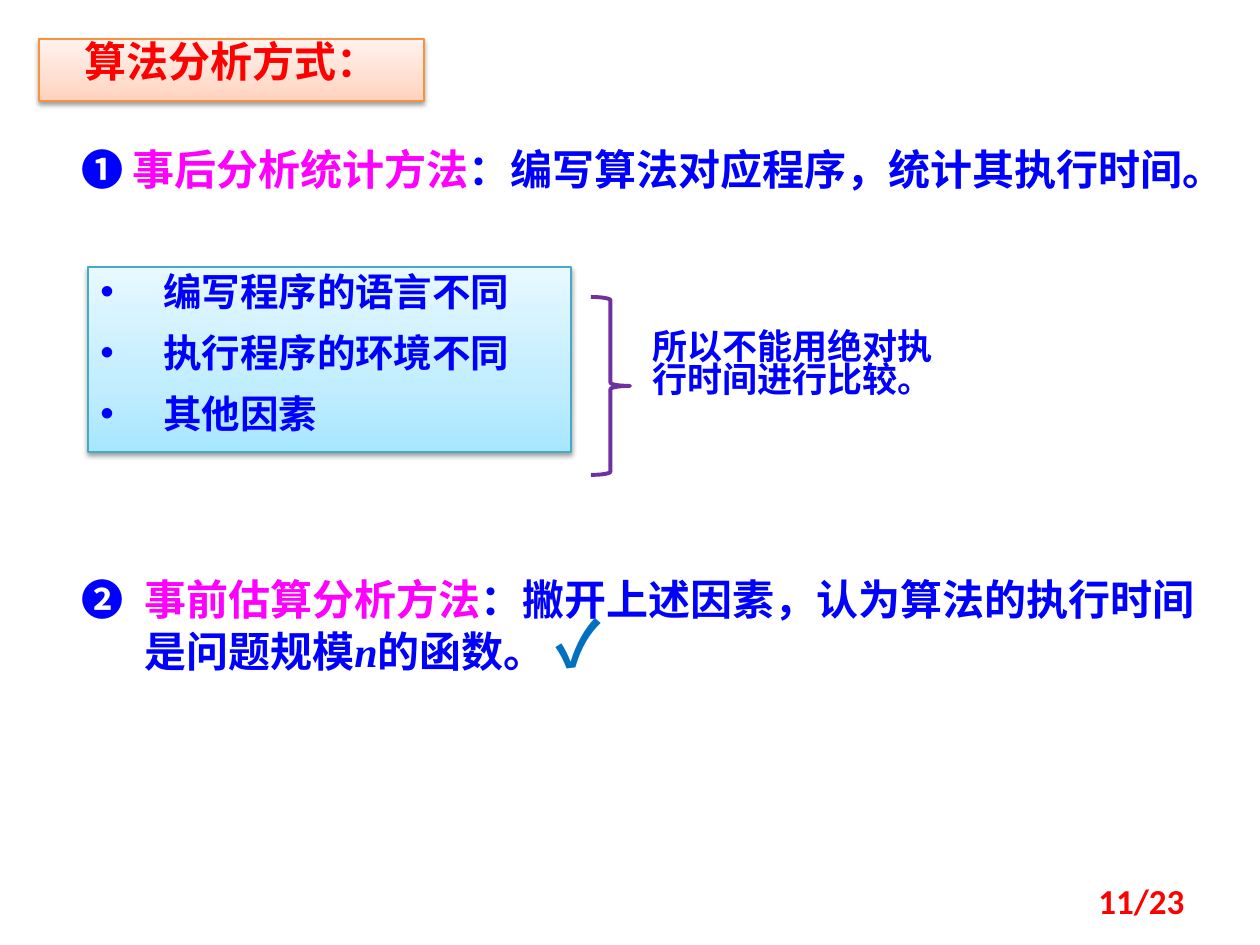
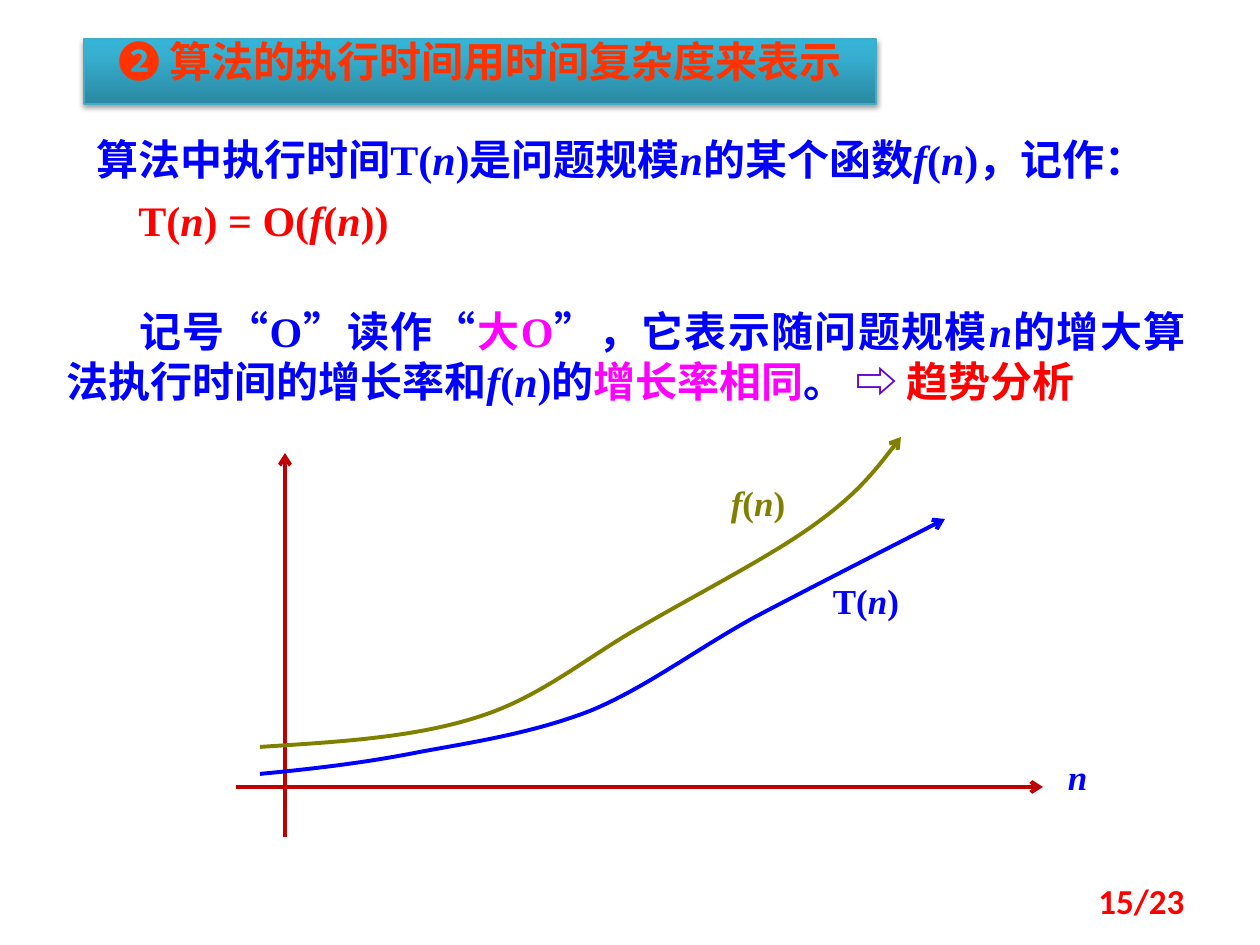
from dataclasses import dataclass

from lxml import etree
from pptx import Presentation
from pptx.dml.color import RGBColor
from pptx.enum.lang import MSO_LANGUAGE_ID
from pptx.enum.shapes import MSO_CONNECTOR, MSO_SHAPE
from pptx.enum.text import MSO_ANCHOR, MSO_AUTO_SIZE, PP_ALIGN
from pptx.oxml.ns import qn
from pptx.util import Emu, Pt

LEFT, CENTER, RIGHT, JUSTIFY = PP_ALIGN.LEFT, PP_ALIGN.CENTER, PP_ALIGN.RIGHT, PP_ALIGN.JUSTIFY
TOP, MIDDLE = MSO_ANCHOR.TOP, MSO_ANCHOR.MIDDLE
CHINESE = MSO_LANGUAGE_ID.SIMPLIFIED_CHINESE
EMU_PER_PX = 914400 / 126
TITLE_ONLY = 5


@dataclass(frozen=True)
class Theme:
    blue: str = "0000FF"
    red: str = "FF0000"
    magenta: str = "FF00FF"
    orange: str = "FF3300"
    check: str = "0070C0"
    arrow: str = "6600CC"
    brace: str = "7030A0"
    axis: str = "C00000"
    olive: str = "808000"
    border: str = "46AAC5"
    peach_border: str = "F69240"
    peach: tuple = ((0, "FFD2BD"), (35, "FFDED0"), (100, "FFF2ED"))
    sky: tuple = ((0, "A7E6FF"), (35, "C1EDFF"), (100, "E7F8FF"))
    teal: tuple = ((0, "2A88A2"), (80, "37B1D2"), (100, "34B4D6"))
    body: str = "Times New Roman"
    plain: str = "Calibri"
    chinese: str = "Noto Sans CJK SC"
    body_size: int = 24
    list_size: int = 22
    label_size: int = 20
    check_size: int = 36
    line: float = 2.25


T = Theme()
PAGE_BOX = (903, 876, 294, 50)

METHODS = {
    "title": "算法分析方式：", "title_box": (39, 39, 385, 62), "title_font": T.chinese,
    "title_color": T.red, "title_fill": T.peach, "title_border": T.peach_border,
    "page": "11/23",
}
AFTERWARDS = [("❶ ", T.blue), ("事后分析统计方法", T.magenta),
              ("：编写算法对应程序，统计其执行时间。", T.blue)]
FACTORS = ["编写程序的语言不同", "执行程序的环境不同", "其他因素"]
CONCLUSION = [("所以不能用绝对执行时间进行比较。", T.blue)]
BEFOREHAND = [("❷\t", T.blue), ("事前估算分析方法", T.magenta),
              ("：撇开上述因素，认为算法的执行时间是问题规模*n*的函数。 ", T.blue),
              ("✓", T.check, T.check_size)]

COMPLEXITY = {
    "title": "❷ 算法的执行时间用时间复杂度来表示", "title_box": (84, 39, 792, 65),
    "title_font": T.plain, "title_color": T.orange, "title_fill": T.teal,
    "title_border": T.border, "page": "15/23",
}
DEFINITION = [("算法中执行时间T(*n*)是问题规模*n*的某个函数*f*(*n*)，记作：", T.blue)]
FORMULA = [("T(*n*) = O(*f*(*n*))", T.red)]
NOTATION = [("记号“O”读作“", T.blue), ("大O", T.magenta),
            ("”，它表示随问题规模*n*的增大算法执行时间的增长率和*f*(*n*)的", T.blue),
            ("增长率相同", T.magenta), ("。 ", T.blue), ("⇨ ", T.arrow), ("趋势分析", T.red)]
AXES = [((236, 787), (1043, 787)), ((285, 837), (285, 453))]
CURVES = [
    (T.olive, [(260, 747), (336, 742), (413, 738), (478, 717), (542, 697), (588, 656),
               (644, 625), (701, 592), (771, 556), (814, 525), (857, 494), (879, 466),
               (901, 437)]),
    (T.blue, [(260, 774), (312, 769), (365, 763), (420, 752), (475, 742), (533, 733),
              (590, 711), (646, 688), (698, 648), (757, 616), (816, 585), (881, 552),
              (945, 519)]),
]
LABELS = [("T(*n*)", T.blue, (817, 581, 98, 59)), ("*n*", T.blue, (1043, 757, 69, 59)),
          ("*f*(*n*)", T.olive, (709, 483, 98, 55))]


def px(value):
    return Emu(round(value * EMU_PER_PX))


def rgb(color):
    return RGBColor.from_string(color)


def child(parent, tag, **attributes):
    return etree.SubElement(parent, qn(tag), {k: str(v) for k, v in attributes.items()})


def write(frame, paragraphs, font=T.body, size=T.body_size, align=LEFT, spacing=0.8,
          bold=True, anchor=TOP, indents=(), hanging=0, bullet=None):
    frame.word_wrap = True
    frame.auto_size = MSO_AUTO_SIZE.NONE
    frame.vertical_anchor = anchor
    for index, runs in enumerate(paragraphs):
        paragraph = frame.add_paragraph() if index else frame.paragraphs[0]
        paragraph.alignment = align
        paragraph.line_spacing = spacing
        paragraph.space_before = Pt(size / 2 if index else 0)
        properties = paragraph._p.get_or_add_pPr()
        if hanging:
            properties.set("marL", str(px(hanging)))
            properties.set("indent", str(px(-hanging)))
        elif indents:
            properties.set("indent", str(px(indents[index])))
        if bullet:
            child(properties, "a:buFont", typeface="Arial")
            child(properties, "a:buChar", char=bullet)
        for text, color, *own_size in runs:
            for part, piece in enumerate(text.split("*")):
                if piece:
                    run = paragraph.add_run()
                    run.text = piece
                    run.font.name = font
                    run.font.size = Pt(own_size[0] if own_size else size)
                    run.font.bold = bold
                    run.font.italic = part % 2 == 1
                    run.font.color.rgb = rgb(color)
                    run.font.language_id = CHINESE


def add_text(slide, box, paragraphs, **style):
    frame = slide.shapes.add_textbox(*map(px, box)).text_frame
    write(frame, paragraphs, **style)


def style_panel(panel, stops, border):
    panel.fill.gradient()
    panel.fill.gradient_angle = 90
    stop_list = panel._element.spPr.find(qn("a:gradFill")).find(qn("a:gsLst"))
    for stop in list(stop_list):
        stop_list.remove(stop)
    for percent, color in stops:
        child(child(stop_list, "a:gs", pos=percent * 1000), "a:srgbClr", val=color)
    panel.line.color.rgb = rgb(border)
    panel.line.width = Pt(0.75)
    panel.shadow.inherit = False
    effects = panel._element.spPr.find(qn("a:effectLst"))
    shadow = child(effects, "a:outerShdw", blurRad=Pt(3.1), dist=Pt(1.6), dir=5400000,
                   rotWithShape=0)
    child(child(shadow, "a:srgbClr", val="000000"), "a:alpha", val=38000)


def style_line(part, color, arrow=True):
    part.line.color.rgb = rgb(color)
    part.line.width = Pt(T.line)
    if arrow:
        child(part.line._get_or_add_ln(), "a:tailEnd", type="arrow")


def add_axis(slide, start, end):
    axis = slide.shapes.add_connector(MSO_CONNECTOR.STRAIGHT, *map(px, start + end))
    style_line(axis, T.axis)
    child(axis._element.spPr, "a:effectLst")


def add_curve(slide, color, points):
    builder = slide.shapes.build_freeform(*points[0], scale=EMU_PER_PX)
    builder.add_line_segments(points[1:], close=False)
    curve = builder.convert_to_shape()
    curve.fill.background()
    curve.shadow.inherit = False
    style_line(curve, color)
    segments = list(curve._element.iter(qn("a:lnTo")))
    outline = segments[0].getparent()
    for first in range(0, len(segments), 3):
        bezier = child(outline, "a:cubicBezTo")
        for segment in segments[first:first + 3]:
            bezier.append(segment[0])
            outline.remove(segment)


def start_slide(deck, content):
    slide = deck.slides.add_slide(deck.slide_layouts[TITLE_ONLY])
    title = slide.shapes.title
    title.left, title.top, title.width, title.height = map(px, content["title_box"])
    style_panel(title, content["title_fill"], content["title_border"])
    write(title.text_frame, [[(content["title"], content["title_color"])]],
          font=content["title_font"], align=CENTER)
    add_text(slide, PAGE_BOX, [[(content["page"], T.red)]], font=T.plain,
             size=T.label_size, align=RIGHT, spacing=1.0, anchor=MIDDLE)
    return slide


def build_methods(deck):
    slide = start_slide(deck, METHODS)
    add_text(slide, (69, 147, 1162, 69), [AFTERWARDS])
    factors = slide.shapes.add_shape(MSO_SHAPE.RECTANGLE, *map(px, (88, 267, 483, 185)))
    style_panel(factors, T.sky, T.border)
    write(factors.text_frame, [[(factor, T.blue)] for factor in FACTORS], font=T.plain,
          size=T.list_size, align=JUSTIFY, spacing=0.9, hanging=63, bullet="•")
    add_text(slide, (69, 562, 1152, 126), [BEFOREHAND], spacing=Pt(32), hanging=63)
    add_text(slide, (640, 326, 335, 106), [CONCLUSION], size=T.label_size)
    brace = slide.shapes.add_shape(MSO_SHAPE.RIGHT_BRACE, *map(px, (591, 297, 39, 178)))
    brace.fill.background()
    brace.shadow.inherit = False
    style_line(brace, T.brace, arrow=False)


def build_complexity(deck):
    slide = start_slide(deck, COMPLEXITY)
    add_text(slide, (84, 137, 1081, 150), [DEFINITION, FORMULA], align=JUSTIFY,
             indents=(0, 42))
    add_text(slide, (54, 299, 1144, 115), [NOTATION], align=JUSTIFY, spacing=1.0,
             indents=(73,))
    for start, end in AXES:
        add_axis(slide, start, end)
    for color, points in CURVES:
        add_curve(slide, color, points)
    for text, color, box in LABELS:
        add_text(slide, box, [[(text, color)]], size=T.label_size, align=CENTER)


def main():
    deck = Presentation()
    deck.slide_width, deck.slide_height = px(1260), px(945)
    build_methods(deck)
    build_complexity(deck)
    deck.save("out.pptx")


if __name__ == "__main__":
    main()
